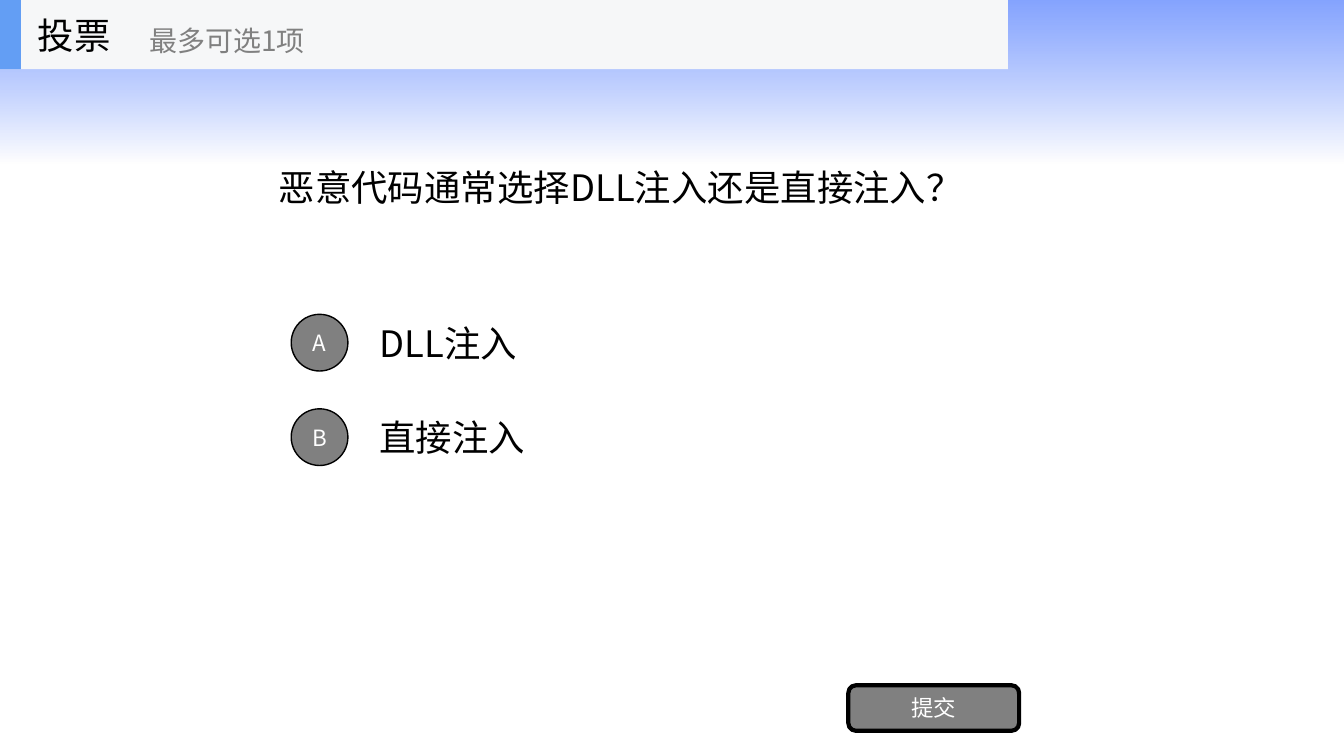
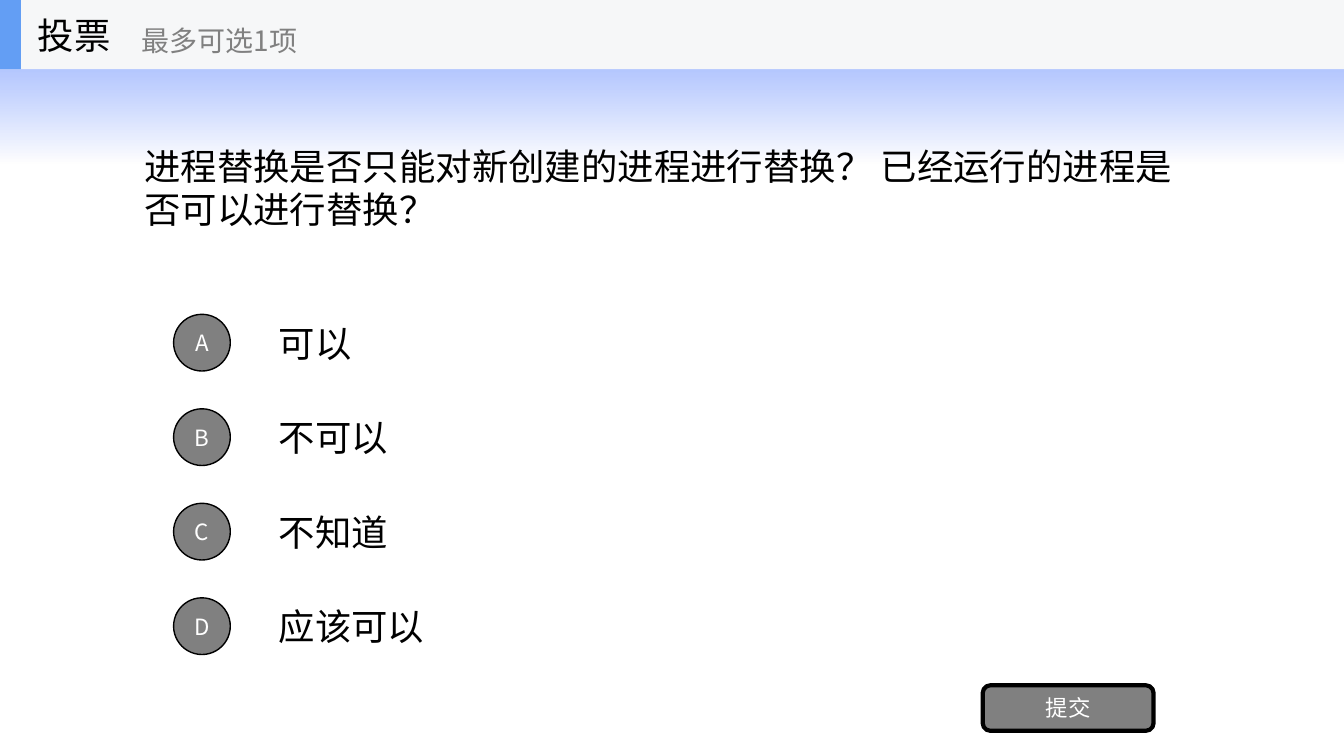
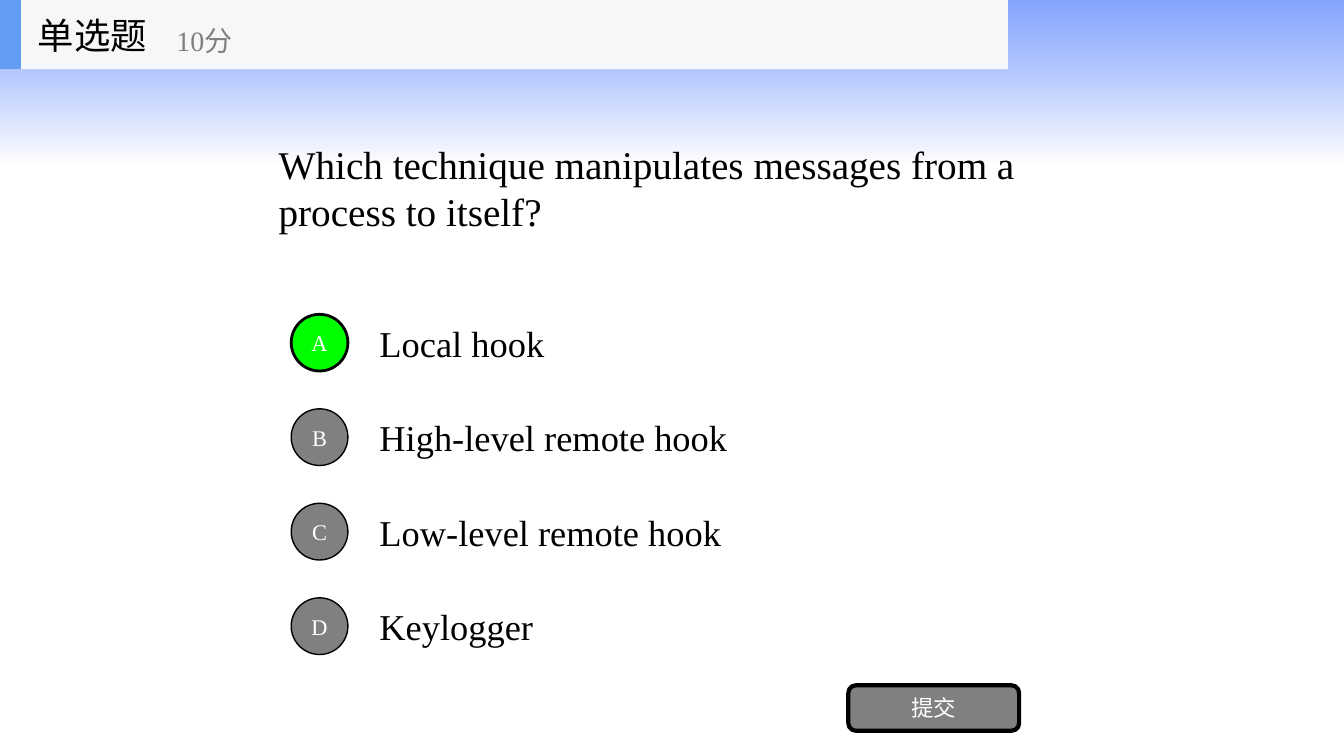
import dataclasses

import lxml.etree
import pptx
import pptx.dml.color
import pptx.enum.shapes
import pptx.enum.text
import pptx.oxml.ns
import pptx.util

Pt = pptx.util.Pt
RGB = pptx.dml.color.RGBColor.from_string
SHAPE = pptx.enum.shapes.MSO_SHAPE
ALIGN = pptx.enum.text.PP_ALIGN
qn = pptx.oxml.ns.qn

SLIDE_WIDTH, SLIDE_HEIGHT = 960, 540
HEADER_HEIGHT = 49.5
OPTION_HEIGHT, OPTION_PITCH, FIRST_OPTION_CENTRE = 50.5, 67.5, 244.75
BADGE_SIZE = 40.5


@dataclasses.dataclass(frozen=True)
class Theme:
    sans: str = "Noto Sans CJK SC"
    serif: str = "Times New Roman"
    ink: str = "000000"
    paper: str = "FFFFFF"
    grey: str = "808080"
    correct: str = "00FF00"
    header: str = "F6F7F8"
    accent: str = "639EF4"
    glow: tuple = (("3366FF", 60), ("FFFFFF", 70))
    body_size: int = 26
    note_size: int = 20
    label_size: int = 16


def write_text(shape, text, *, size, font, east_asian, color, align=ALIGN.LEFT, inset=None):
    frame = shape.text_frame
    frame.word_wrap = True
    frame.vertical_anchor = pptx.enum.text.MSO_ANCHOR.MIDDLE
    if inset is not None:
        frame.margin_left = frame.margin_right = Pt(inset)
        frame.margin_top = frame.margin_bottom = Pt(inset)
    paragraph = frame.paragraphs[0]
    paragraph.alignment = align
    run = paragraph.add_run()
    run.text = text
    run.font.size = Pt(size)
    run.font.color.rgb = RGB(color)
    run.font.name = font
    lxml.etree.SubElement(run.font._element, qn("a:ea"), typeface=east_asian)


class QuizDeck:
    def __init__(self, theme):
        self.theme = theme
        self.deck = pptx.Presentation()
        self.deck.slide_width = Pt(SLIDE_WIDTH)
        self.deck.slide_height = Pt(SLIDE_HEIGHT)
        self.slide = None
        self.font = theme.sans

    def new_slide(self, font):
        self.slide = self.deck.slides.add_slide(self.deck.slide_layouts[6])
        self.font = font
        self.glow_band()

    def shape(self, kind, left, top, width, height, fill=None, line=0):
        shape = self.slide.shapes.add_shape(kind, Pt(left), Pt(top), Pt(width), Pt(height))
        shape.shadow.inherit = False
        if fill:
            shape.fill.solid()
            shape.fill.fore_color.rgb = RGB(fill)
        if line:
            shape.line.color.rgb = RGB(self.theme.ink)
            shape.line.width = Pt(line)
        else:
            shape.line.fill.background()
        return shape

    def glow_band(self):
        """Translucent gradient across the top of every slide."""
        band = self.shape(SHAPE.RECTANGLE, 0, 0, SLIDE_WIDTH, 116.5)
        band.fill.gradient()
        band.fill.gradient_angle = 270
        for stop, (color, _) in zip(band.fill.gradient_stops, self.theme.glow):
            stop.color.rgb = RGB(color)
        colors = band._element.spPr.iter(qn("a:srgbClr"))
        for color, (_, opacity) in zip(list(colors), self.theme.glow):
            lxml.etree.SubElement(color, qn("a:alpha"), val=str(opacity * 1000))

    def text(self, text, left, top, width, height, size=None, color=None):
        box = self.slide.shapes.add_textbox(Pt(left), Pt(top), Pt(width), Pt(height))
        write_text(box, text, size=size or self.theme.body_size, font=self.font,
                   east_asian=self.theme.sans, color=color or self.theme.ink)

    def label(self, kind, text, left, top, width, height, fill, line):
        """Shape with a short white centred caption."""
        shape = self.shape(kind, left, top, width, height, fill, line)
        write_text(shape, text, size=self.theme.label_size, font=self.font,
                   east_asian=self.theme.sans, color=self.theme.paper,
                   align=ALIGN.CENTER, inset=0)

    def header(self, title, note, note_left, width):
        self.shape(SHAPE.RECTANGLE, 0, 0, width, HEADER_HEIGHT, self.theme.header)
        self.shape(SHAPE.RECTANGLE, 0, 0, 15, HEADER_HEIGHT, self.theme.accent)
        self.text(title, 20, 0, 150, HEADER_HEIGHT)
        self.text(note, note_left, 9, 180, 40,
                  size=self.theme.note_size, color=self.theme.grey)

    def options(self, answers, badge_left, answer_left, right, correct):
        for index, answer in enumerate(answers):
            centre = FIRST_OPTION_CENTRE + index * OPTION_PITCH
            letter = "ABCD"[index]
            is_correct = letter == correct
            self.text(answer, answer_left, centre - OPTION_HEIGHT / 2,
                      right - answer_left, OPTION_HEIGHT)
            self.label(SHAPE.OVAL, letter, badge_left, centre - BADGE_SIZE / 2,
                       BADGE_SIZE, BADGE_SIZE,
                       fill=self.theme.correct if is_correct else self.theme.grey,
                       line=2 if is_correct else 1)

    def submit_button(self, right):
        self.label(SHAPE.ROUNDED_RECTANGLE, "提交", right - 162, 489.5, 122, 32.5,
                   fill=self.theme.grey, line=3)

    def quiz(self, title, note, note_left, question, answers, *, left=192, width=576,
             badge_left=208, answer_left=264, header_width=720, font=None,
             question_size=None, correct=None):
        right = left + width
        self.new_slide(font or self.theme.sans)
        self.text(question, left, HEADER_HEIGHT, width, 168.75, size=question_size)
        self.options(answers, badge_left, answer_left, right, correct)
        self.submit_button(right)
        self.header(title, note, note_left, header_width)


def main():
    theme = Theme()
    quiz_deck = QuizDeck(theme)
    quiz_deck.quiz("投票", "最多可选1项", 99.5,
                   "恶意代码通常选择DLL注入还是直接注入？", ["DLL注入", "直接注入"])
    quiz_deck.quiz("投票", "最多可选1项", 94,
                   "进程替换是否只能对新创建的进程进行替换？ 已经运行的进程是否可以进行替换？",
                   ["可以", "不可以", "不知道", "应该可以"],
                   left=96, width=768, badge_left=124, answer_left=192,
                   header_width=SLIDE_WIDTH)
    quiz_deck.quiz("单选题", "10分", 119,
                   "Which technique manipulates messages from a process to itself?",
                   ["Local hook", "High-level remote hook", "Low-level remote hook",
                    "Keylogger"],
                   font=theme.serif, question_size=28, correct="A")
    quiz_deck.deck.save("out.pptx")


if __name__ == "__main__":
    main()
